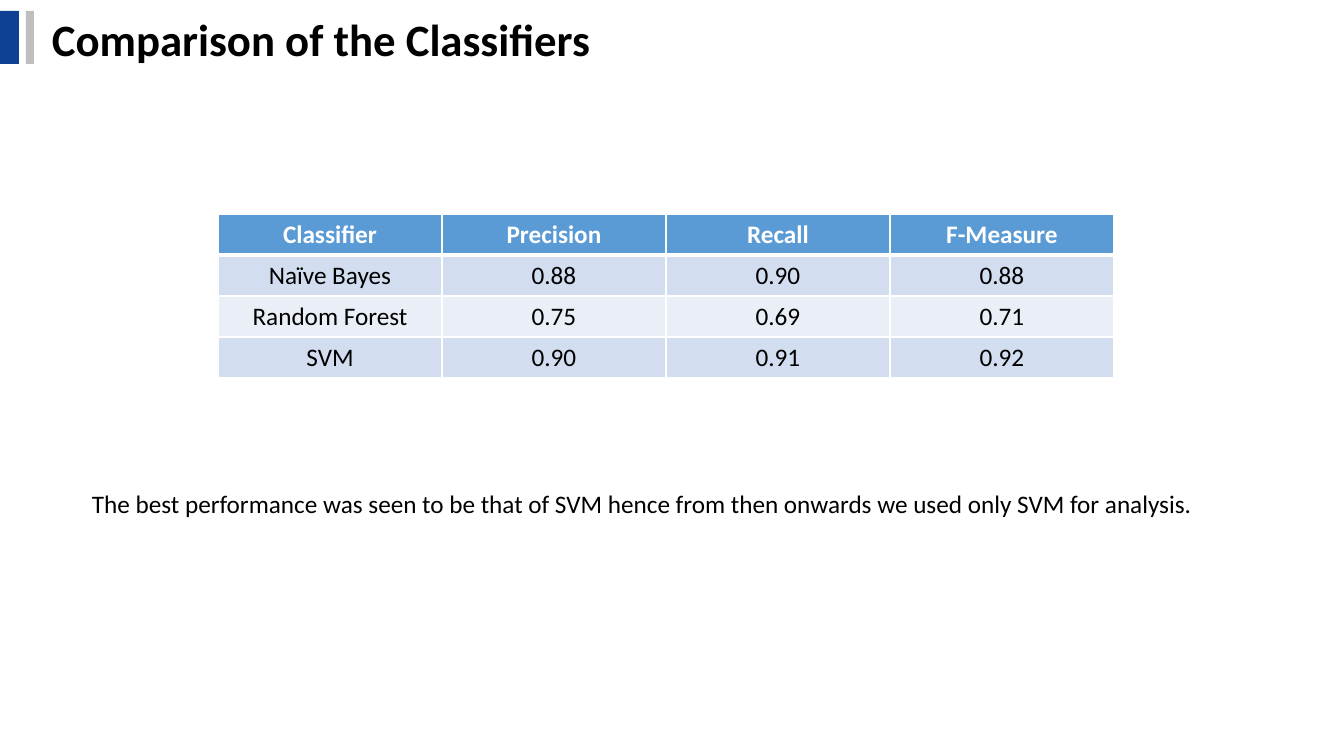
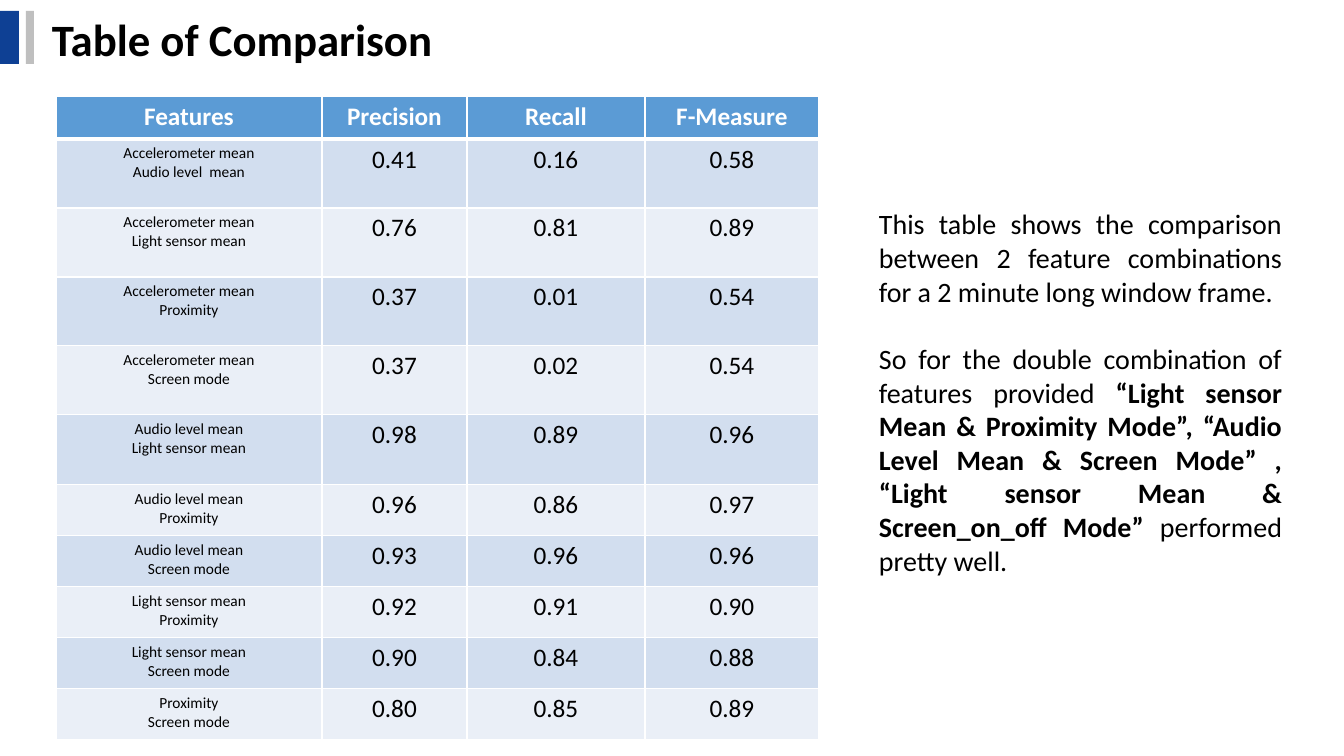
from lxml.etree import SubElement
from pptx import Presentation
from pptx.dml.color import RGBColor
from pptx.enum.shapes import MSO_SHAPE
from pptx.enum.text import MSO_ANCHOR, PP_ALIGN
from pptx.oxml.ns import qn
from pptx.util import Emu, Pt

PX = 914400 / 100.8
FONT = "Calibri"
NAVY = RGBColor(0x0E, 0x40, 0x94)
GREY = RGBColor(0xBF, 0xBF, 0xBF)
BLUE = RGBColor(0x5B, 0x9B, 0xD5)
BAND_DARK = RGBColor(0xD2, 0xDE, 0xEF)
BAND_LIGHT = RGBColor(0xEA, 0xEF, 0xF7)
BLACK = RGBColor(0, 0, 0)
WHITE = RGBColor(0xFF, 0xFF, 0xFF)

TITLE_BARS = [(0, 19, NAVY), (26, 8, GREY)]


def px(*lengths):
    return [Emu(round(length * PX)) for length in lengths]


def write_text(frame, text, size=18, bold=False, color=BLACK,
               align=PP_ALIGN.LEFT, gap=0):
    """Write one paragraph per line; spans between ** marks are bold."""
    frame.word_wrap = True
    for index, line in enumerate(text.split("\n")):
        para = frame.paragraphs[0] if index == 0 else frame.add_paragraph()
        para.alignment = align
        if index and gap:
            para.space_before = Pt(gap)
        for part, words in enumerate(line.split("**")):
            span = para.add_run()
            span.text = words
            span.font.name = FONT
            span.font.size = Pt(size)
            span.font.bold = bold or part % 2 == 1
            span.font.color.rgb = color


pages = [
    {
        "title": "Comparison of the Classifiers",
        "table_at": (218, 214),
        "columns": [224] * 4,
        "row_heights": [41] * 4,
        "label_size": 18,
        "rows": [
            ("Classifier", "Precision", "Recall", "F-Measure"),
            ("Naïve Bayes", "0.88", "0.90", "0.88"),
            ("Random Forest", "0.75", "0.69", "0.71"),
            ("SVM", "0.90", "0.91", "0.92"),
        ],
        "note_at": (82, 483, 1157, 40),
        "note": "The best performance was seen to be that of SVM hence from "
                "then onwards we used only SVM for analysis.",
        "note_format": {"size": 18},
    },
    {
        "title": "Table of Comparison",
        "table_at": (56, 96),
        "columns": [266, 145, 178, 174],
        "row_heights": [43] + [69] * 4 + [70] + [51] * 5,
        "label_size": 11,
        "rows": [
            ("Features", "Precision", "Recall", "F-Measure"),
            ("Accelerometer mean\nAudio level  mean", "0.41", "0.16", "0.58"),
            ("Accelerometer mean\nLight sensor mean", "0.76", "0.81", "0.89"),
            ("Accelerometer mean\nProximity", "0.37", "0.01", "0.54"),
            ("Accelerometer mean\nScreen mode", "0.37", "0.02", "0.54"),
            ("Audio level mean\nLight sensor mean", "0.98", "0.89", "0.96"),
            ("Audio level mean\nProximity", "0.96", "0.86", "0.97"),
            ("Audio level mean\nScreen mode", "0.93", "0.96", "0.96"),
            ("Light sensor mean\nProximity", "0.92", "0.91", "0.90"),
            ("Light sensor mean\nScreen mode", "0.90", "0.84", "0.88"),
            ("Proximity\nScreen mode", "0.80", "0.85", "0.89"),
        ],
        "note_at": (869, 202, 423, 383),
        "note": "This table shows the comparison between 2 feature combinations "
                "for a 2 minute long window frame.\n"
                "So for the double combination of features provided "
                "**“Light sensor Mean & Proximity Mode”, “Audio Level Mean & "
                "Screen Mode” , “Light sensor Mean & Screen_on_off Mode”** "
                "performed pretty well.",
        "note_format": {"size": 20, "align": PP_ALIGN.JUSTIFY, "gap": 24},
    },
]

deck = Presentation()
deck.slide_width, deck.slide_height = px(1344, 756)

for content in pages:
    page = deck.slides.add_slide(deck.slide_layouts[6])

    # Title band
    for left, width, color in TITLE_BARS:
        bar = page.shapes.add_shape(MSO_SHAPE.RECTANGLE, *px(left, 11, width, 53))
        bar.shadow.inherit = False
        bar.fill.solid()
        bar.fill.fore_color.rgb = color
        bar.line.fill.background()
    title = page.shapes.add_textbox(*px(42, 6, 1036, 65)).text_frame
    title.vertical_anchor = MSO_ANCHOR.MIDDLE
    write_text(title, content["title"], size=32, bold=True)

    # Table
    rows, columns, heights = (content[key] for key in ("rows", "columns", "row_heights"))
    table = page.shapes.add_table(
        len(rows), len(columns),
        *px(*content["table_at"], sum(columns), sum(heights))).table
    for column, width in zip(table.columns, px(*columns)):
        column.width = width
    for row, height in zip(table.rows, px(*heights)):
        row.height = height
    for r, values in enumerate(rows):
        header = r == 0
        for c, value in enumerate(values):
            cell = table.cell(r, c)
            properties = cell._tc.get_or_add_tcPr()
            for side in "LRTB":
                thick = (header and side == "B") or (r == 1 and side == "T")
                border = SubElement(properties, qn(f"a:ln{side}"),
                                    w=str(Pt(3 if thick else 1)))
                fill = SubElement(border, qn("a:solidFill"))
                SubElement(fill, qn("a:srgbClr"), val=str(WHITE))
            cell.fill.solid()
            cell.fill.fore_color.rgb = (
                BLUE if header else BAND_DARK if r % 2 else BAND_LIGHT)
            write_text(cell.text_frame, value, bold=header,
                       size=18 if header or c else content["label_size"],
                       color=WHITE if header else BLACK, align=PP_ALIGN.CENTER)

    # Remark on the results
    note = page.shapes.add_textbox(*px(*content["note_at"])).text_frame
    write_text(note, content["note"], **content["note_format"])

deck.save("out.pptx")
